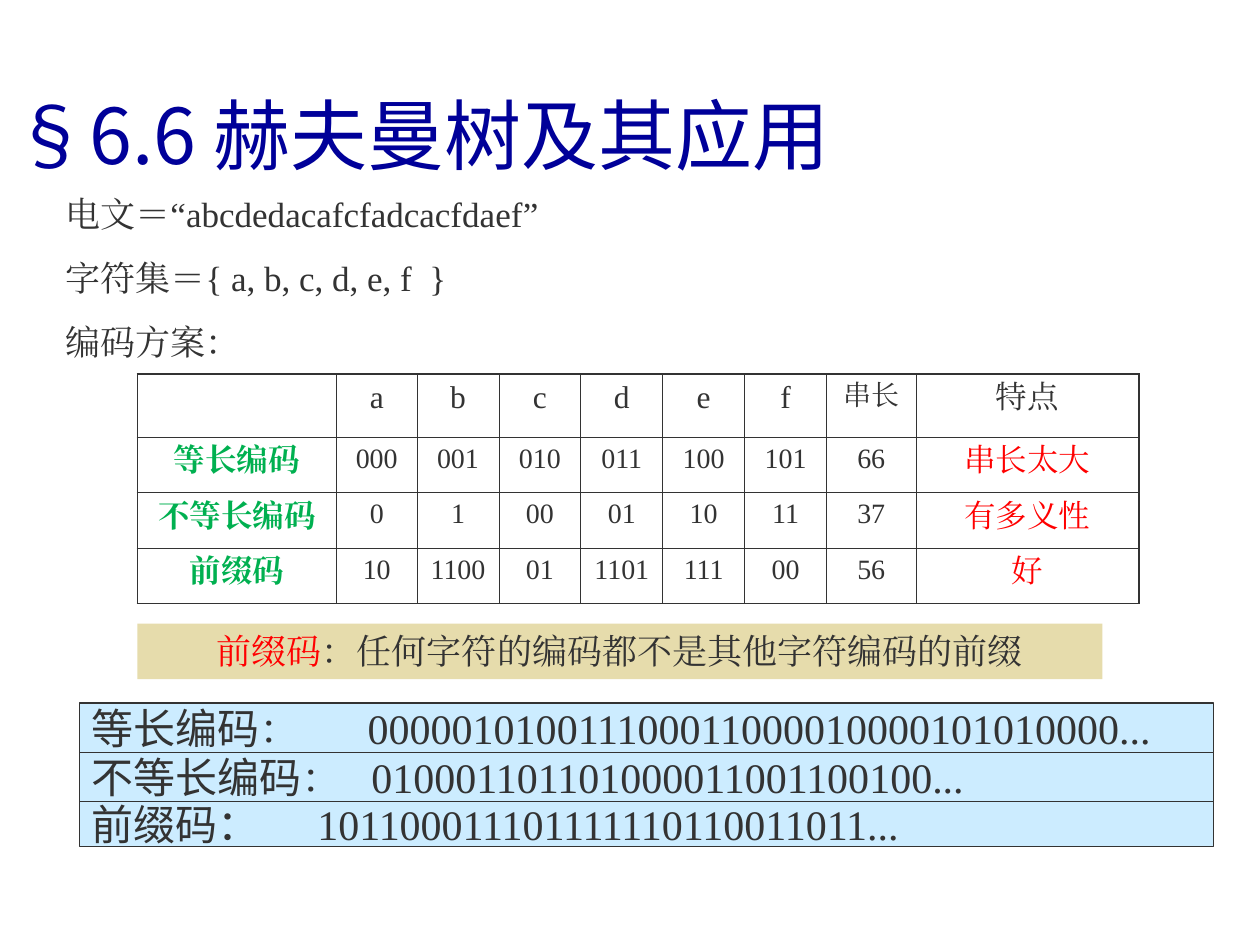
from lxml import etree
from pptx import Presentation
from pptx.dml.color import RGBColor as RGB
from pptx.enum.shapes import MSO_SHAPE as Shape
from pptx.enum.text import MSO_ANCHOR as Anchor, PP_ALIGN as Align
from pptx.oxml.ns import qn
from pptx.util import Inches, Pt

COLORS = {"title": "000099", "text": "333333", "name": "00B050", "red": "FF0000",
          "rule": "E6DCAC", "band": "CCECFF"}
SANS, SERIF = "Noto Sans CJK SC", "Times New Roman"

TITLE = "§6.6 赫夫曼树及其应用"
INTRO = ["电文＝“abcdedacafcfadcacfdaef”", "字符集＝{ a, b, c, d, e, f  }", "编码方案："]
CODES = [
    ["", "a", "b", "c", "d", "e", "f", "串长", "特点"],
    ["等长编码", "000", "001", "010", "011", "100", "101", "66", "串长太大"],
    ["不等长编码", "0", "1", "00", "01", "10", "11", "37", "有多义性"],
    ["前缀码", "10", "1100", "01", "1101", "111", "00", "56", "好"],
]
WIDTHS = [1.58, 0.64] + [0.65] * 5 + [0.71, 1.77]
HEIGHTS = [0.5, 0.44, 0.44, 0.44]
RULE = [("前缀码", "red"), ("：任何字符的编码都不是其他字符编码的前缀", "text")]
# label, code, height, tab stop
BANDS = [
    ("等长编码", "：\t000001010011100011000010000101010000...", 0.39, 2.19),
    ("不等长编码", "：\t010001101101000011001100100...", 0.39, 2.22),
    ("前缀码：\t", "101100011101111110110011011...", 0.36, 1.79),
]


def paint(fill, color):
    fill.solid()
    fill.fore_color.rgb = RGB.from_string(COLORS[color])


def set_face(font, props, face):
    """Use one face for both Latin and East Asian letters."""
    font.name = face
    ea = etree.Element(qn("a:ea"), typeface=face)
    props.find(qn("a:latin")).addnext(ea)


def style(para, size, color="text", face=None, bold=None):
    font = para.font
    font.size, font.bold = Pt(size), bold
    font.color.rgb = RGB.from_string(COLORS[color])
    if face:
        set_face(font, para._p.pPr.find(qn("a:defRPr")), face)


def add_run(para, text, face):
    run = para.add_run()
    run.text = text
    set_face(run.font, run._r.rPr, face)
    return run


def add_text(box, anchor=Anchor.TOP):
    frame = box.text_frame
    frame.word_wrap, frame.vertical_anchor = True, anchor
    return frame


def add_rect(left, top, width, height, color):
    rect = slide.shapes.add_shape(Shape.RECTANGLE, Inches(left), Inches(top),
                                  Inches(width), Inches(height))
    rect.shadow.inherit = False
    paint(rect.fill, color)
    return rect


def set_edges(cell, row, col):
    """Thick lines on the outside of the table, thin ones within."""
    outer = {"L": col == 0, "R": col == len(WIDTHS) - 1,
             "T": row == 0, "B": row == len(CODES) - 1}
    props = cell._tc.get_or_add_tcPr()
    for spot, (side, thick) in enumerate(outer.items()):
        line = etree.Element(qn("a:ln" + side), w=str(Pt(1.08 if thick else 0.45)))
        fill = etree.SubElement(line, qn("a:solidFill"))
        etree.SubElement(fill, qn("a:srgbClr"), val=COLORS["text"])
        props.insert(spot, line)


prs = Presentation()
prs.slide_width, prs.slide_height = Inches(10), Inches(7.5)
slide = prs.slides.add_slide(prs.slide_layouts[6])

# Title
box = slide.shapes.add_textbox(0, Inches(0.7), Inches(10), Inches(0.78))
para = add_text(box, Anchor.BOTTOM).paragraphs[0]
style(para, 44, "title", SANS)
add_run(para, TITLE, SANS)

# Message, alphabet and heading of the table
box = slide.shapes.add_textbox(Inches(0.42), Inches(1.48), Inches(8.67), Inches(1.45))
frame = add_text(box)
for i, text in enumerate(INTRO):
    para = frame.add_paragraph() if i else frame.paragraphs[0]
    if i:
        para.space_before = Pt(12.5)
    style(para, 20, face=SERIF)
    add_run(para, text, SERIF)

# Table of codes
table = slide.shapes.add_table(len(CODES), len(WIDTHS), Inches(1.09), Inches(2.97),
                               Inches(sum(WIDTHS)), Inches(sum(HEIGHTS))).table
table.first_row = table.horz_banding = False
for col, width in zip(table.columns, WIDTHS):
    col.width = Inches(width)
for row, height in zip(table.rows, HEIGHTS):
    row.height = Inches(height)
last = len(WIDTHS) - 1
for r, texts in enumerate(CODES):
    for c, text in enumerate(texts):
        cell = table.cell(r, c)
        cell.fill.background()
        set_edges(cell, r, c)
        para = cell.text_frame.paragraphs[0]
        para.alignment = Align.CENTER
        small = c == last - 1 or (r and 0 < c < last)
        color = {0: "name", last: "red"}.get(c, "text") if r else "text"
        style(para, 16 if small else 18, color, SERIF, bold=bool(r and c == 0))
        if text:
            add_run(para, text, SERIF)

# Rule for prefix codes
rect = add_rect(1.09, 4.95, 7.66, 0.44, "rule")
rect.line.fill.background()
para = add_text(rect).paragraphs[0]
para.alignment = Align.CENTER
style(para, 20, face=SERIF)
for text, color in RULE:
    run = add_run(para, text, SERIF)
    run.font.color.rgb = RGB.from_string(COLORS[color])

# Bands with the coded message
top = 5.58
for label, code, height, stop in BANDS:
    rect = add_rect(0.63, top, 9, height, "band")
    paint(rect.line.fill, "text")
    rect.line.width = Pt(0.75)
    para = add_text(rect, Anchor.MIDDLE).paragraphs[0]
    para.alignment = Align.LEFT
    tabs = etree.SubElement(para._p.get_or_add_pPr(), qn("a:tabLst"))
    etree.SubElement(tabs, qn("a:tab"), pos=str(Inches(stop)), algn="l")
    style(para, 24)
    add_run(para, label, SANS)
    add_run(para, code, SERIF)
    top += height

prs.save("out.pptx")
